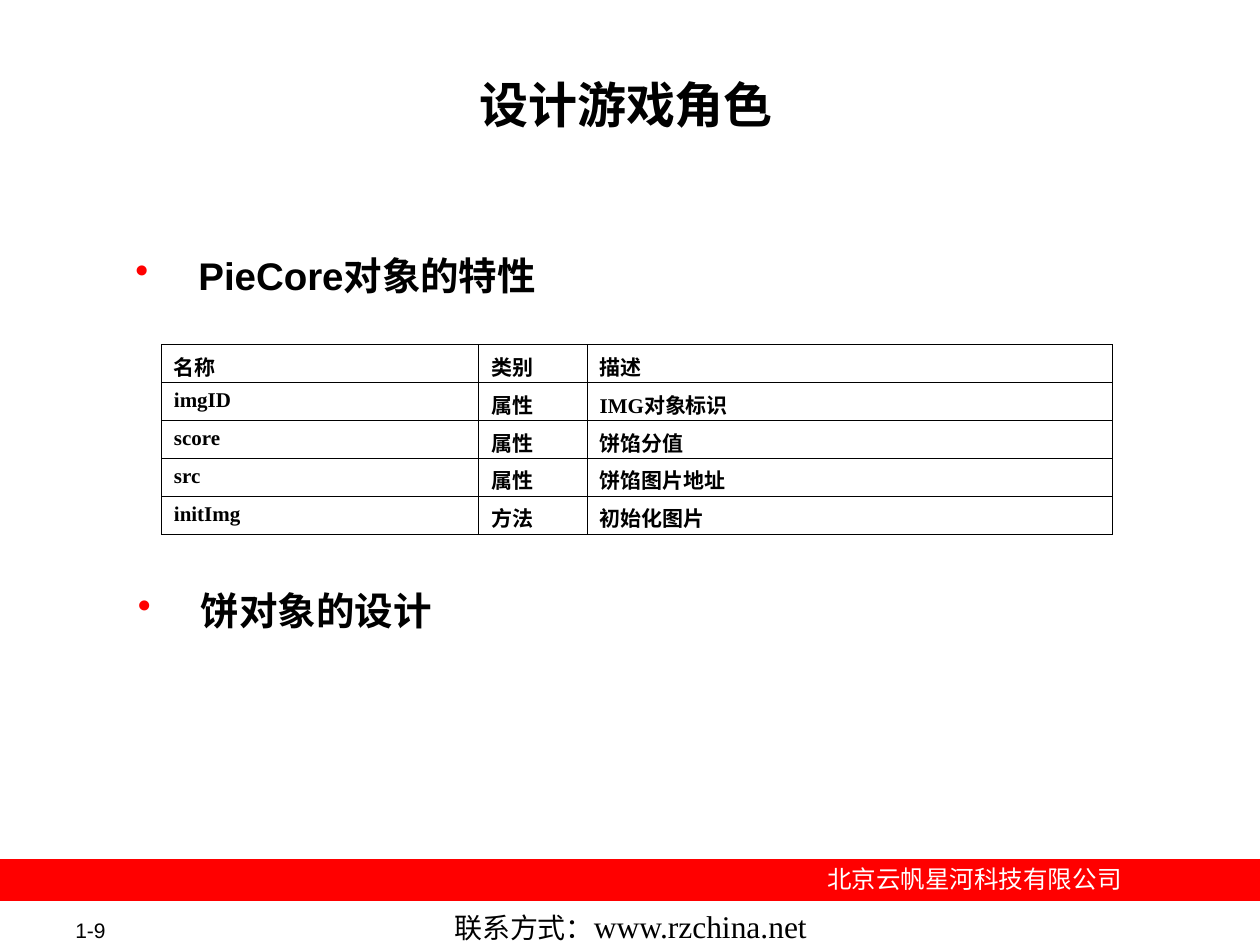
"""Build the slide on designing game characters, with its PieCore table."""
from lxml.etree import SubElement
from pptx import Presentation
from pptx.dml.color import RGBColor
from pptx.enum.shapes import MSO_SHAPE
from pptx.enum.text import MSO_ANCHOR, PP_ALIGN
from pptx.oxml.ns import qn
from pptx.util import Pt

BLACK = RGBColor(0, 0, 0)
WHITE = RGBColor(255, 255, 255)
RED = RGBColor(255, 0, 0)
SANS, SERIF = "Arial", "Times New Roman"

TITLE = "设计游戏角色"
TOPICS = [("PieCore对象的特性", 67.7, 143.3), ("饼对象的设计", 69.1, 334.8)]
MEMBERS = [
    ("名称", "类别", "描述"),
    ("imgID", "属性", "IMG对象标识"),
    ("score", "属性", "饼馅分值"),
    ("src", "属性", "饼馅图片地址"),
    ("initImg", "方法", "初始化图片"),
]
COLUMN_WIDTHS = [181.4, 61.9, 300.2]
ROW_HEIGHT = 21.5
COMPANY = "北京云帆星河科技有限公司"
CONTACT = [("联系方式：", 16, SANS), ("www.rzchina.net", 18, SERIF)]
PAGE = "1-9"


def style(run, size, face=SANS, color=BLACK, bold=False):
    run.font.size = Pt(size)
    run.font.name = face
    run.font.color.rgb = color
    run.font.bold = bold


def add_text(slide, place, pieces, align=PP_ALIGN.LEFT, inset=(7.2, 3.6),
             anchor=MSO_ANCHOR.TOP, color=BLACK, bold=False):
    frame = slide.shapes.add_textbox(*map(Pt, place)).text_frame
    frame.word_wrap = True
    frame.vertical_anchor = anchor
    frame.margin_left = frame.margin_right = Pt(inset[0])
    frame.margin_top = frame.margin_bottom = Pt(inset[1])
    paragraph = frame.paragraphs[0]
    paragraph.alignment = align
    for words, size, face in pieces:
        run = paragraph.add_run()
        run.text = words
        style(run, size, face, color, bold)
    return paragraph


def add_bullet(paragraph):
    properties = paragraph._p.get_or_add_pPr()
    properties.set("marL", str(Pt(45)))
    properties.set("indent", str(Pt(-36)))
    bullet_color = SubElement(properties, qn("a:buClr"))
    SubElement(bullet_color, qn("a:srgbClr"), val=str(RED))
    SubElement(properties, qn("a:buChar"), char="•")


def add_borders(cell):
    properties = cell._tc.get_or_add_tcPr()
    for side in ("a:lnL", "a:lnR", "a:lnT", "a:lnB"):
        border = SubElement(properties, qn(side), w=str(Pt(0.45)))
        fill = SubElement(border, qn("a:solidFill"))
        SubElement(fill, qn("a:srgbClr"), val=str(BLACK))


def add_members(slide):
    table = slide.shapes.add_table(
        len(MEMBERS), len(COLUMN_WIDTHS), Pt(92.2), Pt(197),
        Pt(sum(COLUMN_WIDTHS)), Pt(ROW_HEIGHT * len(MEMBERS))).table
    table.first_row = table.horz_banding = False
    for column, width in zip(table.columns, COLUMN_WIDTHS):
        column.width = Pt(width)
    for row, member in zip(table.rows, MEMBERS):
        row.height = Pt(ROW_HEIGHT)
        for cell, words in zip(row.cells, member):
            add_borders(cell)
            cell.fill.solid()
            cell.fill.fore_color.rgb = WHITE
            cell.text_frame.text = words
            style(cell.text_frame.paragraphs[0].runs[0], 12, SERIF, bold=True)


def add_footer(slide):
    band = slide.shapes.add_shape(MSO_SHAPE.RECTANGLE, 0, Pt(491), Pt(720), Pt(23.8))
    band.shadow.inherit = False
    band.fill.solid()
    band.fill.fore_color.rgb = RED
    band.line.fill.background()
    add_text(slide, (460.8, 490.3, 192.2, 24.5), [(COMPANY, 14, SANS)],
             PP_ALIGN.CENTER, color=WHITE)
    add_text(slide, (198.7, 521.3, 323.3, 15.1), CONTACT,
             PP_ALIGN.CENTER, anchor=MSO_ANCHOR.MIDDLE)
    add_text(slide, (36, 524.2, 76.3, 14.4), [(PAGE, 12, SANS)],
             anchor=MSO_ANCHOR.MIDDLE)


def main():
    deck = Presentation()
    deck.slide_width, deck.slide_height = Pt(720), Pt(540)
    slide = deck.slides.add_slide(deck.slide_layouts[6])
    add_footer(slide)
    add_text(slide, (69.8, 41.8, 576, 69.1), [(TITLE, 28, SANS)],
             PP_ALIGN.CENTER, inset=(0.7, 0.7), bold=True)
    for topic, left, top in TOPICS:
        add_bullet(add_text(slide, (left, top, 580.3, 28.1), [(topic, 22, SANS)],
                            inset=(0.7, 0.7), bold=True))
    add_members(slide)
    deck.save("out.pptx")


if __name__ == "__main__":
    main()
